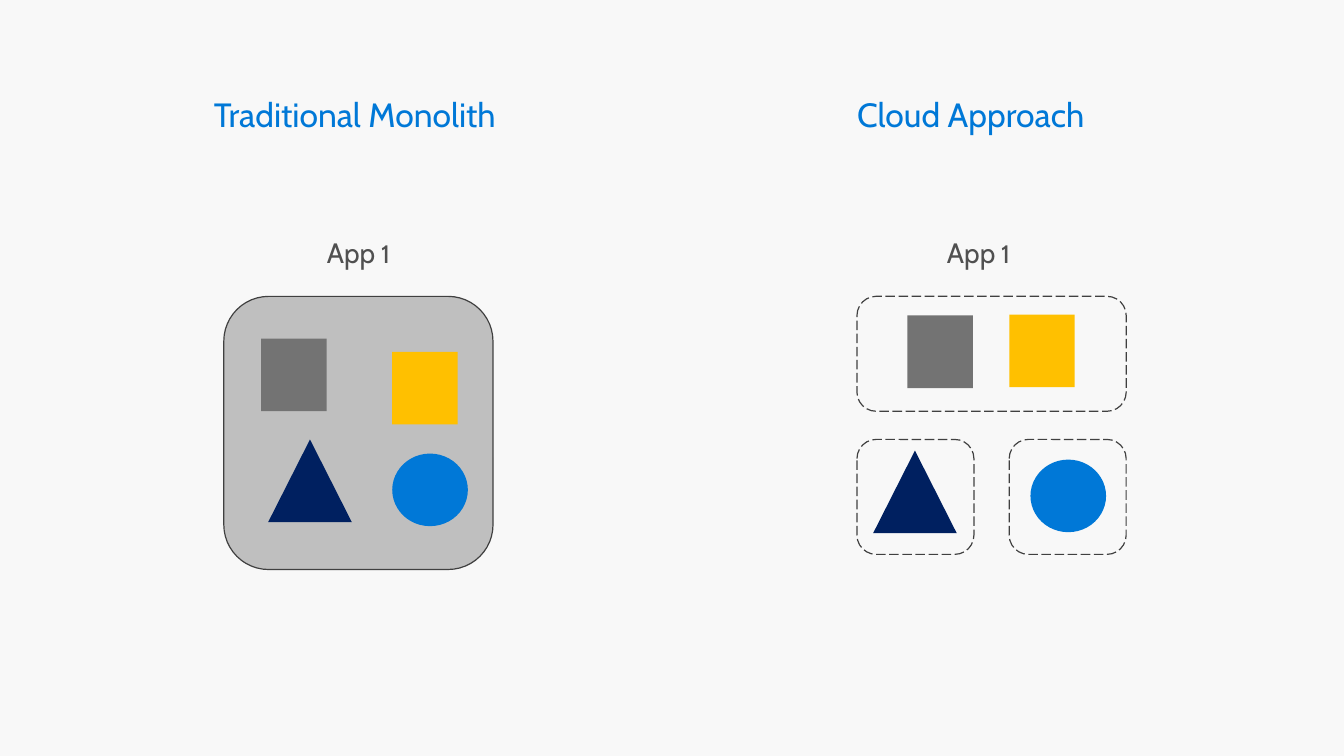
from pptx import Presentation
from pptx.dml.color import RGBColor
from pptx.enum.dml import MSO_LINE
from pptx.enum.shapes import MSO_SHAPE as Preset
from pptx.enum.text import MSO_AUTO_SIZE as AutoSize, PP_ALIGN as Align
from pptx.util import Inches, Pt

FONT = "Cabin"
BLUE = "0078D7"
COMPONENTS = {
    "service": (Preset.RECTANGLE, 0.65, 0.72, "737373"),
    "store": (Preset.RECTANGLE, 0.65, 0.72, "FFC000"),
    "worker": (Preset.ISOSCELES_TRIANGLE, 0.83, 0.82, "002060"),
    "gateway": (Preset.OVAL, 0.75, 0.72, BLUE),
}


def color(value):
    return RGBColor.from_string(value)


def add_preset(page, preset, left, top, width, height):
    shape = page.shapes.add_shape(
        preset, Inches(left), Inches(top), Inches(width), Inches(height))
    shape.shadow.inherit = False
    return shape


def add_component(page, name, left, top):
    preset, width, height, fill = COMPONENTS[name]
    shape = add_preset(page, preset, left, top, width, height)
    shape.fill.solid()
    shape.fill.fore_color.rgb = color(fill)
    shape.line.fill.background()


def add_container(page, left, top, width, height, fill=None):
    shape = add_preset(page, Preset.ROUNDED_RECTANGLE, left, top, width, height)
    shape.line.color.rgb = color("404040")
    shape.line.width = Pt(0.85)
    if fill:
        shape.fill.solid()
        shape.fill.fore_color.rgb = color(fill)
    else:
        shape.fill.background()
        shape.line.dash_style = MSO_LINE.LONG_DASH


def add_text_box(page, left, top, width, height):
    box = page.shapes.add_textbox(
        Inches(left), Inches(top), Inches(width), Inches(height))
    frame = box.text_frame
    frame.word_wrap = False
    frame.auto_size = AutoSize.SHAPE_TO_FIT_TEXT
    return frame


def add_span(para, text, size, fill):
    span = para.add_run()
    span.text = text
    span.font.name = FONT
    span.font.size = Pt(size)
    span.font.color.rgb = color(fill)


def add_title(page, text, left, width):
    frame = add_text_box(page, left, 0.82, width, 0.69)
    frame.margin_left = frame.margin_right = Inches(0.2)
    frame.margin_top = frame.margin_bottom = Inches(0.16)
    para = frame.paragraphs[0]
    para.line_spacing = 0.9
    para.space_after = Pt(6)
    add_span(para, text, 24, BLUE)


def add_app_label(page, left):
    para = add_text_box(page, left, 2.29, 0.85, 0.44).paragraphs[0]
    para.alignment = Align.CENTER
    add_span(para, "App", 20, "505050")
    add_span(para, " 1", 18, "505050")


def add_monolith(page):
    add_title(page, "Traditional Monolith", 1.92, 3.49)
    add_app_label(page, 3.13)
    add_container(page, 2.22, 2.94, 2.67, 2.71, "BFBFBF")
    add_component(page, "service", 2.59, 3.36)
    add_component(page, "store", 3.89, 3.49)
    add_component(page, "worker", 2.66, 4.36)
    add_component(page, "gateway", 3.89, 4.5)


def add_cloud(page):
    add_title(page, "Cloud Approach", 8.3, 2.81)
    add_app_label(page, 9.28)
    add_container(page, 8.5, 2.94, 2.67, 1.14)
    for left in (8.5, 10.01):
        add_container(page, left, 4.36, 1.16, 1.14)
    add_component(page, "service", 9, 3.13)
    add_component(page, "store", 10.01, 3.12)
    add_component(page, "worker", 8.66, 4.47)
    add_component(page, "gateway", 10.22, 4.56)


def main():
    deck = Presentation()
    deck.slide_width = Inches(13.33)
    deck.slide_height = Inches(7.5)
    page = deck.slides.add_slide(deck.slide_layouts[6])
    page.background.fill.solid()
    page.background.fill.fore_color.rgb = color("F8F8F8")
    add_monolith(page)
    add_cloud(page)
    deck.save("out.pptx")


if __name__ == "__main__":
    main()
